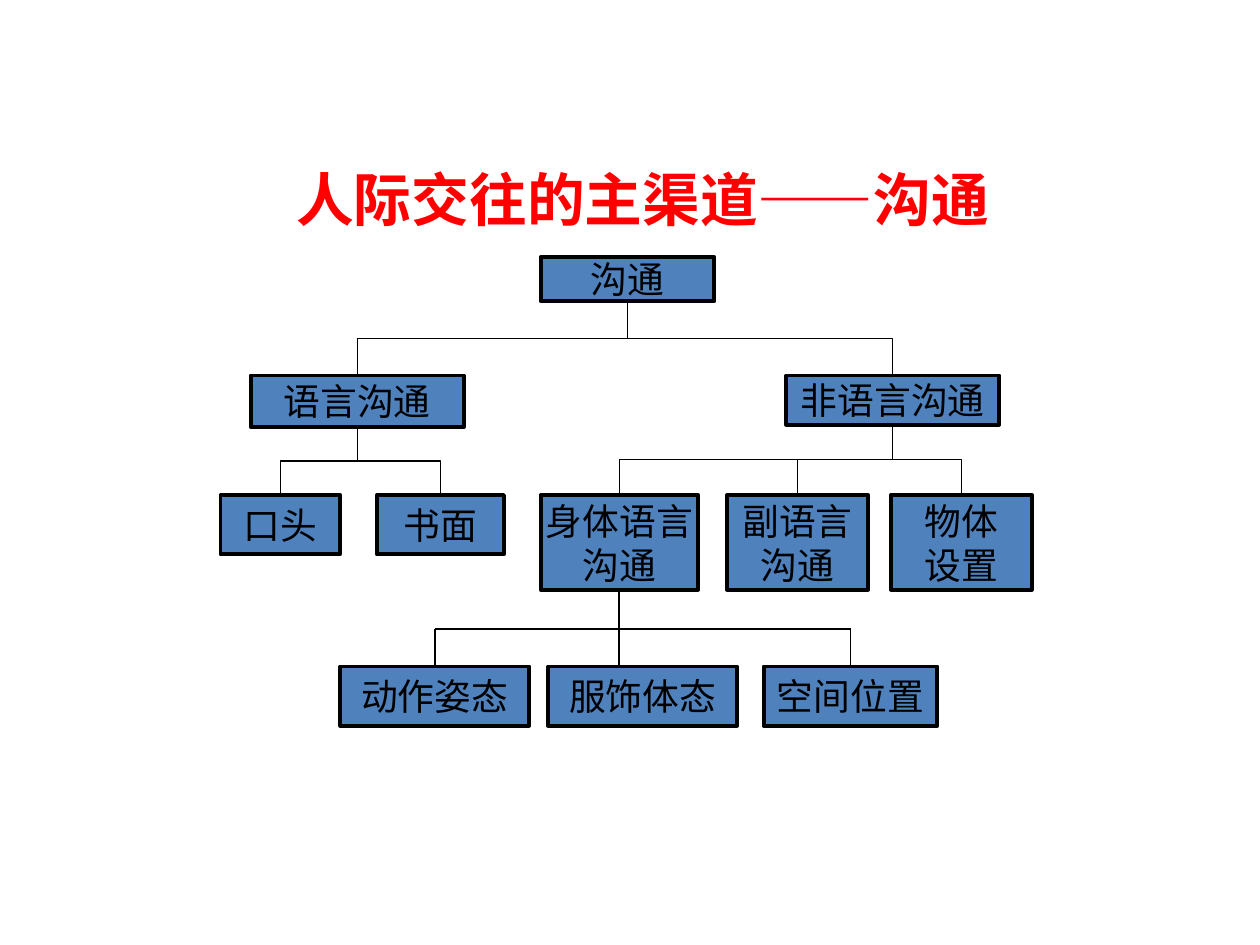
from lxml import etree
from pptx import Presentation
from pptx import util as u
from pptx.dml.color import RGBColor
from pptx.enum import shapes, text
from pptx.oxml.ns import qn

COLORS = {"page": "FFFFFF", "node": "4F81BD", "ink": "000000", "title": "FF0000"}
TOP, BOTTOM = 0, 2  # connection sites of a rectangle

# Offsets from the chart's corner: name, left, top, width, height, lines of text
NODES = [
    ("root", 2.54, 0, 1.38, 0.35, "沟通"),
    ("verbal", 0.24, 0.94, 1.69, 0.41, "语言沟通"),
    ("nonverbal", 4.49, 0.94, 1.69, 0.39, "非语言沟通"),
    ("oral", 0, 1.89, 0.95, 0.47, "口头"),
    ("written", 1.24, 1.89, 1.01, 0.47, "书面"),
    ("body", 2.54, 1.89, 1.25, 0.75, "身体语言\n沟通"),
    ("paralanguage", 4.02, 1.89, 1.12, 0.75, "副语言\n沟通"),
    ("objects", 5.32, 1.89, 1.12, 0.75, "物体\n设置"),
    ("gesture", 0.95, 3.25, 1.5, 0.47, "动作姿态"),
    ("dress", 2.6, 3.25, 1.5, 0.47, "服饰体态"),
    ("space", 4.31, 3.25, 1.38, 0.47, "空间位置"),
]
BRANCHES = {
    "root": ["verbal", "nonverbal"],
    "verbal": ["oral", "written"],
    "nonverbal": ["body", "paralanguage", "objects"],
}


def color(name):
    return RGBColor.from_string(COLORS[name])


def write(frame, words, size, font, ink, bold=False, align=None):
    for index, line in enumerate(words.split("\n")):
        para = frame.add_paragraph() if index else frame.paragraphs[0]
        para.alignment = align
        span = para.add_run()
        span.text = line
        span.font.size = u.Pt(size)
        span.font.name = font
        span.font.bold = bold
        span.font.color.rgb = color(ink)


def add_title(page, left, top, width, height):
    box = page.shapes.add_textbox(*map(u.Inches, (left, top, width, height)))
    frame = box.text_frame
    frame.word_wrap = True
    frame.auto_size = text.MSO_AUTO_SIZE.SHAPE_TO_FIT_TEXT
    frame.margin_left = u.Inches(0.51)
    write(frame, "人际交往的主渠道——沟通", 33, "Calibri", "title", bold=True)


def add_node(page, left, top, width, height, words):
    node = page.shapes.add_shape(
        shapes.MSO_SHAPE.RECTANGLE, *map(u.Inches, (left, top, width, height)))
    node.shadow.inherit = False
    node.fill.solid()
    node.fill.fore_color.rgb = color("node")
    node.line.color.rgb = color("ink")
    node.line.width = u.Pt(2.25)
    frame = node.text_frame
    frame.word_wrap = False
    frame.vertical_anchor = text.MSO_ANCHOR.MIDDLE
    write(frame, words, 21, "Times New Roman", "ink", align=text.PP_ALIGN.CENTER)
    return node


def add_line(page, kind, start, end, weight):
    line = page.shapes.add_connector(kind, *start, *end)
    line.line.color.rgb = color("ink")
    line.line.width = u.Pt(weight)
    etree.SubElement(line._element.spPr, qn("a:effectLst"))
    return line


def middle(node):
    return node.left + node.width // 2


def add_elbow(page, parent, child):
    start = middle(parent), parent.top + parent.height
    end = middle(child), child.top
    line = add_line(page, shapes.MSO_CONNECTOR.ELBOW, start, end, 0.75)
    line.begin_connect(parent, BOTTOM)
    line.end_connect(child, TOP)
    # Turn the elbow so that it leaves downwards
    run, drop = abs(end[0] - start[0]), end[1] - start[1]
    line.left = (start[0] + end[0] - drop) // 2
    line.top = (start[1] + end[1] - run) // 2
    line.width, line.height = drop, run
    rightward = end[0] > start[0]
    frame = line._element.spPr.find(qn("a:xfrm"))
    frame.set("rot", str((270 if rightward else 90) * 60000))
    frame.set("flipH", "1" if rightward else "0")
    frame.set("flipV", "0")


def add_fork(page, parent, first, center, last):
    """Straight lines from a parent down to a row of three nodes."""
    straight = shapes.MSO_CONNECTOR.STRAIGHT
    level = first.top - u.Inches(0.3)
    add_line(page, straight, (middle(first), level), (middle(last), level), 1)
    for node in (first, last):
        drop = add_line(page, straight, (middle(node), level), (middle(node), node.top), 1)
        drop.end_connect(node, TOP)
    trunk = add_line(page, straight, (middle(parent), parent.top + parent.height),
                     (middle(parent), center.top), 1)
    trunk.begin_connect(parent, BOTTOM)


def add_tree(page, left, top):
    nodes = {name: add_node(page, left + x, top + y, width, height, words)
             for name, x, y, width, height, words in NODES}
    for parent, children in BRANCHES.items():
        for child in children:
            add_elbow(page, nodes[parent], nodes[child])
    add_fork(page, *(nodes[name] for name in ("body", "gesture", "dress", "space")))


def main():
    deck = Presentation()
    deck.slide_width, deck.slide_height = u.Inches(10), u.Inches(7.5)
    page = deck.slides.add_slide(deck.slide_layouts[6])
    page.background.fill.solid()
    page.background.fill.fore_color.rgb = color("page")
    add_tree(page, 1.75, 2.04)
    add_title(page, 1.84, 1.25, 6.43, 0.66)
    deck.save("out.pptx")


if __name__ == "__main__":
    main()
